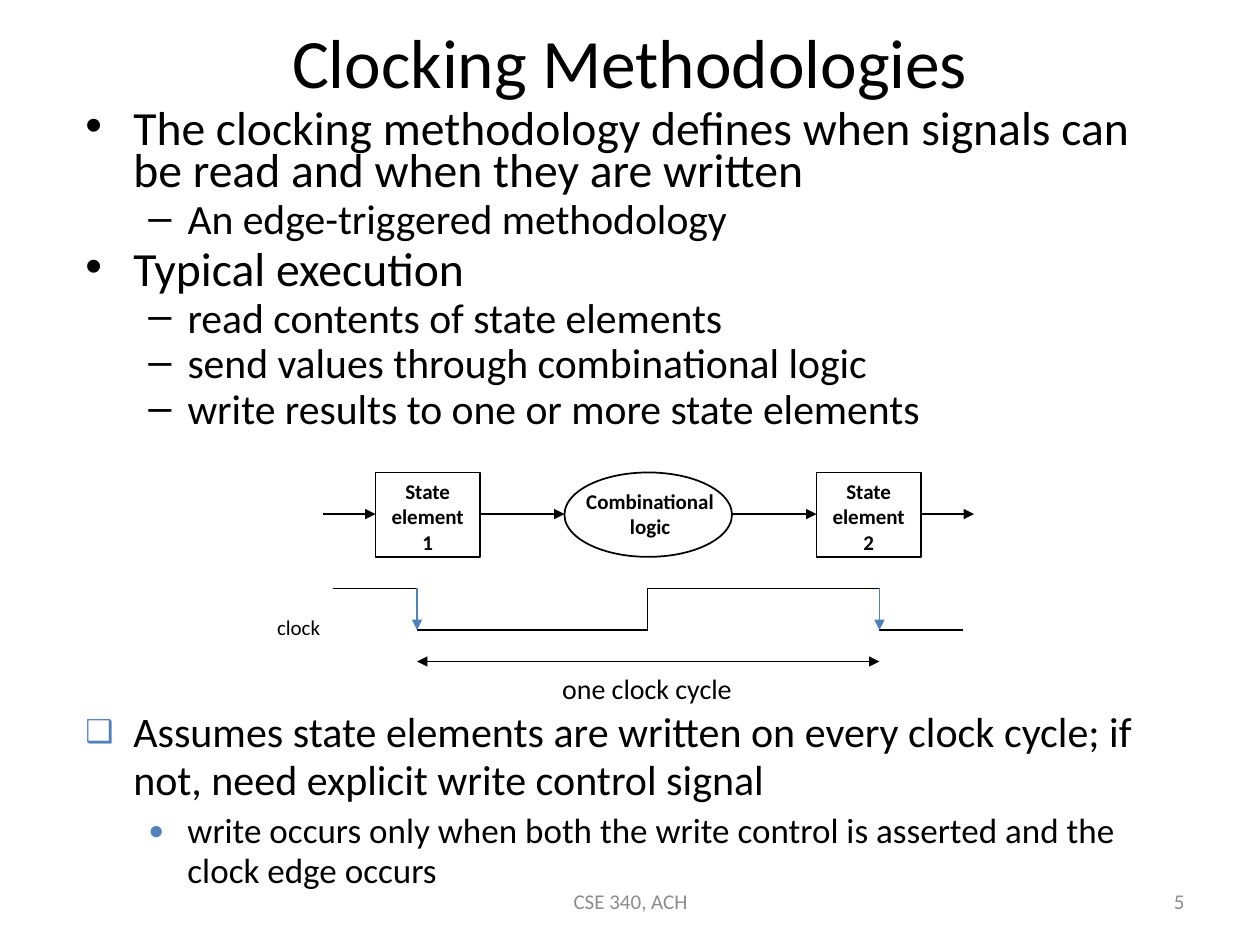
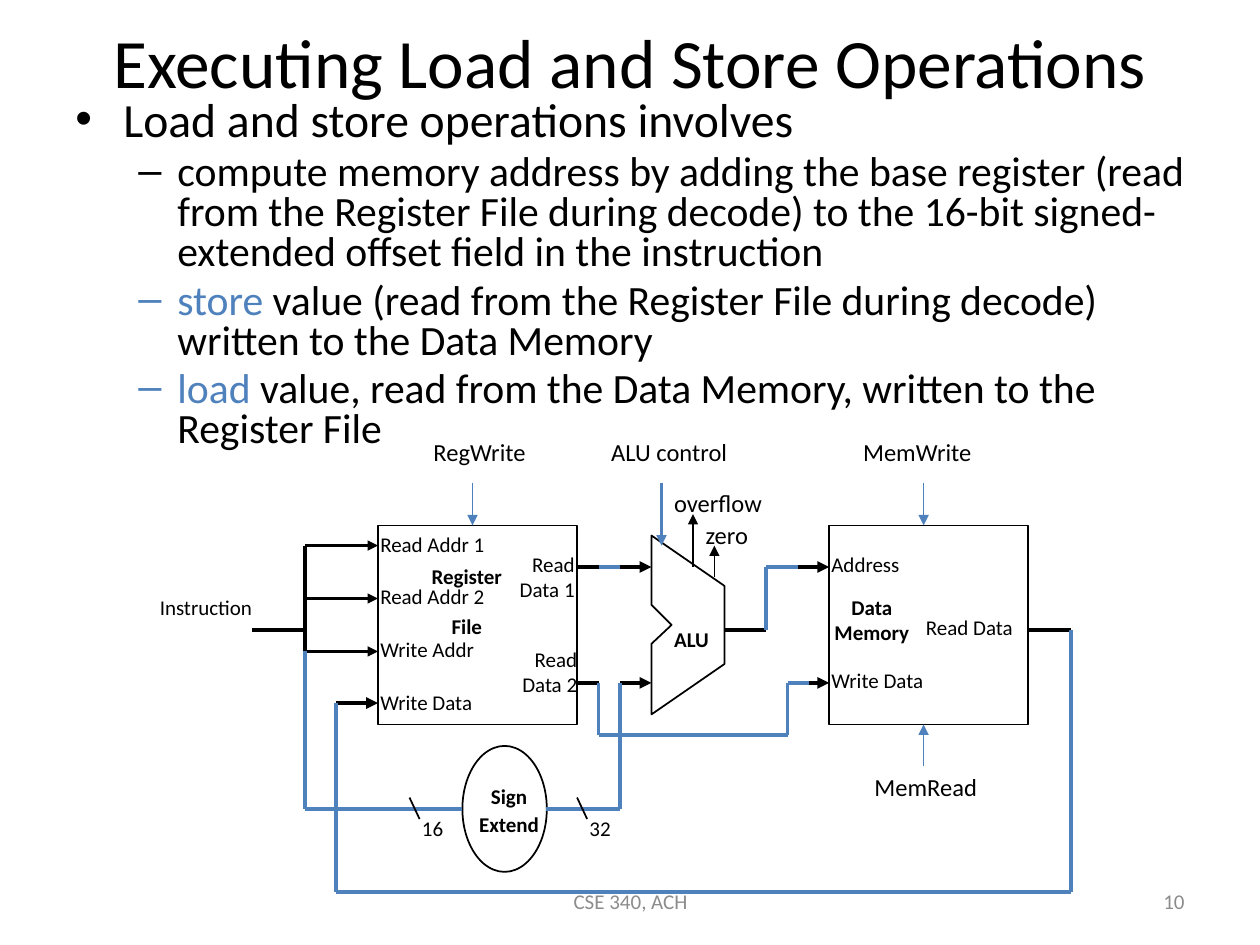
from dataclasses import dataclass, replace
from itertools import pairwise
from typing import NamedTuple

from pptx import Presentation
from pptx.dml.color import RGBColor
from pptx.enum.shapes import MSO_CONNECTOR, MSO_SHAPE
from pptx.enum.text import MSO_ANCHOR, MSO_AUTO_SIZE, PP_ALIGN
from pptx.oxml.ns import qn
from pptx.slide import Slide
from pptx.util import Inches, Pt
from lxml.etree import SubElement

BLACK = RGBColor(0x00, 0x00, 0x00)
BLUE = RGBColor(0x4F, 0x81, 0xBD)
GRAY = RGBColor(0x8C, 0x8C, 0x8C)
FONT = "Calibri"
FOOTER = "CSE 340, ACH"
INDENTS = ((0.38, -0.38), (0.81, -0.31))
THIN, MID, THICK = 1, 1.5, 2.25


class Box(NamedTuple):
    left: float
    top: float
    width: float
    height: float


class Span(NamedTuple):
    text: str
    color: RGBColor = BLACK


class Item(NamedTuple):
    level: int
    spans: tuple[Span, ...]


class Mark(NamedTuple):
    char: str
    color: RGBColor | None = None
    percent: int = 100


class Outline(NamedTuple):
    sizes: tuple[float, float]
    spacing: float
    marks: tuple[Mark, Mark]


@dataclass(frozen=True)
class Style:
    size: float = 12
    bold: bool = False
    color: RGBColor = BLACK
    align: PP_ALIGN = PP_ALIGN.LEFT
    anchor: MSO_ANCHOR = MSO_ANCHOR.TOP
    pad: tuple[float, float] = (0.1, 0.05)
    wrap: bool = False
    grow: bool = True
    line: float | None = None
    around: float = 0
    gap: float = 0


class Label(NamedTuple):
    lines: tuple[str, ...]
    box: Box
    style: Style


class Wire(NamedTuple):
    points: tuple[tuple[float, float], ...]
    color: RGBColor = BLACK
    width: float = THIN
    tail: bool = False
    head: bool = False


PLAIN = Style()
RIGHT = Style(align=PP_ALIGN.RIGHT)
CENTER = Style(align=PP_ALIGN.CENTER)
BOLD = replace(CENTER, bold=True)
SPREAD = replace(BOLD, gap=14.65)
CYCLE = replace(CENTER, size=16)
TIGHT = Style(bold=True, pad=(0.02, 0.03), grow=False, line=16)
SIGN = replace(TIGHT, align=PP_ALIGN.CENTER)
SIGNAL = replace(TIGHT, size=14, bold=False, line=18, around=6)
TITLE = replace(CENTER, size=39.6, anchor=MSO_ANCHOR.MIDDLE, wrap=True, grow=False)
FOOT = replace(TITLE, size=12, color=GRAY)
NUMBER = replace(FOOT, align=PP_ALIGN.RIGHT)

DASHES = (Mark("•"), Mark("–"))
DOTS = (Mark("❑", BLUE, 75), Mark("●", BLUE, 75))


def add_run(para, text: str, size: float, color: RGBColor, bold: bool = False) -> None:
    run = para.add_run()
    run.text = text
    font = run.font
    font.name, font.size, font.bold = FONT, Pt(size), bold
    font.color.rgb = color


def add_frame(slide: Slide, box: Box, pad: tuple[float, float] = (0.1, 0.05)):
    frame = slide.shapes.add_textbox(*map(Inches, box)).text_frame
    frame.margin_left = frame.margin_right = Inches(pad[0])
    frame.margin_top = frame.margin_bottom = Inches(pad[1])
    frame.word_wrap = True
    return frame


def next_para(frame, index: int):
    return frame.add_paragraph() if index else frame.paragraphs[0]


def add_label(slide: Slide, label: Label) -> None:
    style = label.style
    frame = add_frame(slide, label.box, style.pad)
    frame.word_wrap = style.wrap
    frame.vertical_anchor = style.anchor
    frame.auto_size = MSO_AUTO_SIZE.SHAPE_TO_FIT_TEXT if style.grow else MSO_AUTO_SIZE.NONE
    for index, text in enumerate(label.lines):
        para = next_para(frame, index)
        para.alignment = style.align
        if style.line:
            para.line_spacing = Pt(style.line)
        para.space_before = Pt(style.gap if index else style.around)
        para.space_after = Pt(style.around)
        add_run(para, text, style.size, style.color, style.bold)


def add_bullet(para, mark: Mark, level: int) -> None:
    props = para._p.get_or_add_pPr()
    left, hang = INDENTS[level]
    props.set("marL", str(Inches(left)))
    props.set("indent", str(Inches(hang)))
    if mark.color is not None:
        tint = SubElement(props, qn("a:buClr"))
        SubElement(tint, qn("a:srgbClr"), val=str(mark.color))
    SubElement(props, qn("a:buSzPct"), val=str(mark.percent * 1000))
    SubElement(props, qn("a:buFont"), typeface="Arial")
    SubElement(props, qn("a:buChar"), char=mark.char)


def add_outline(slide: Slide, box: Box, items: list[Item], outline: Outline) -> None:
    frame = add_frame(slide, box)
    for index, item in enumerate(items):
        size = outline.sizes[item.level]
        para = next_para(frame, index)
        para.level = item.level
        para.line_spacing = outline.spacing
        para.space_before = Pt(round(size * 0.2, 1))
        add_bullet(para, outline.marks[item.level], item.level)
        for span in item.spans:
            add_run(para, span.text, size, span.color)


def style_shape(shape) -> None:
    shape.shadow.inherit = False
    shape.fill.background()
    shape.line.color.rgb = BLACK
    shape.line.width = Pt(THIN)


def add_block(slide: Slide, kind: MSO_SHAPE, box: Box) -> None:
    style_shape(slide.shapes.add_shape(kind, *map(Inches, box)))


def add_polygon(slide: Slide, points: list[tuple[float, float]]) -> None:
    first, *rest = [(Inches(x), Inches(y)) for x, y in points]
    builder = slide.shapes.build_freeform(*first)
    builder.add_line_segments(rest, close=True)
    style_shape(builder.convert_to_shape())


def add_wire(slide: Slide, wire: Wire) -> None:
    """Draw each leg as a line, with arrowheads only at the outer ends."""
    legs = list(pairwise(wire.points))
    for index, (start, end) in enumerate(legs):
        leg = slide.shapes.add_connector(MSO_CONNECTOR.STRAIGHT, *map(Inches, start + end))
        leg.line.color.rgb = wire.color
        leg.line.width = Pt(wire.width)
        stroke = leg.line._get_or_add_ln()
        if wire.head and index == 0:
            SubElement(stroke, qn("a:headEnd"), type="triangle")
        if wire.tail and index == len(legs) - 1:
            SubElement(stroke, qn("a:tailEnd"), type="triangle")
        SubElement(leg._element.spPr, qn("a:effectLst"))


def add_page(deck, title: str, box: Box, number: int) -> Slide:
    slide = deck.slides.add_slide(deck.slide_layouts[6])
    add_label(slide, Label((title,), box, TITLE))
    add_label(slide, Label((str(number),), Box(7.17, 6.95, 2.33, 0.4), NUMBER))
    add_label(slide, Label((FOOTER,), Box(3.42, 6.95, 3.17, 0.4), FOOT))
    return slide


def plain_item(level: int, text: str) -> Item:
    return Item(level, (Span(text),))


def build_clock(deck) -> None:
    slide = add_page(deck, "Clocking Methodologies", Box(0.5, 0.13, 9, 0.7), 5)
    add_outline(slide, Box(0.58, 0.83, 8.75, 2.92), [
        plain_item(0, "The clocking methodology defines when signals can be read and when they are written"),
        plain_item(1, "An edge-triggered methodology"),
        plain_item(0, "Typical execution"),
        plain_item(1, "read contents of state elements"),
        plain_item(1, "send values through combinational logic"),
        plain_item(1, "write results to one or more state elements"),
    ], Outline((27.2, 23.8), 0.75, DASHES))
    add_outline(slide, Box(0.58, 5.58, 9, 1.67), [
        plain_item(0, "Assumes state elements are written on every clock cycle; "
                      "if not, need explicit write control signal"),
        plain_item(1, "write occurs only when both the write control is asserted and the clock edge occurs"),
    ], Outline((24, 20), 0.95, DOTS))

    for number, left in (("1", 2.98), ("2", 6.48)):
        add_block(slide, MSO_SHAPE.RECTANGLE, Box(left, 3.75, 0.83, 0.67))
        add_label(slide, Label(("State", "element", number), Box(left, 3.75, 0.83, 0.7), BOLD))
    add_block(slide, MSO_SHAPE.OVAL, Box(4.48, 3.75, 1.33, 0.67))
    add_label(slide, Label(("Combinational", "logic"), Box(4.48, 3.83, 1.36, 0.5), BOLD))
    add_label(slide, Label(("clock",), Box(2.08, 4.83, 0.58, 0.3), CENTER))
    add_label(slide, Label(("one clock cycle",), Box(4.28, 5.28, 1.71, 0.37), CYCLE))

    for start, end in ((2.56, 2.98), (3.81, 4.48), (5.81, 6.48), (7.31, 7.73)):
        add_wire(slide, Wire(((start, 4.08), (end, 4.08)), tail=True))
    high, low, fall, rise, last = 4.67, 5, 3.31, 5.14, 6.98
    add_wire(slide, Wire(((2.64, high), (fall, high))))
    add_wire(slide, Wire(((fall, low), (rise, low), (rise, high), (last, high))))
    add_wire(slide, Wire(((last, low), (7.64, low))))
    for edge in (fall, last):
        add_wire(slide, Wire(((edge, high), (edge, low)), BLUE, tail=True))
    add_wire(slide, Wire(((fall, 5.25), (last, 5.25)), tail=True, head=True))


def build_path(deck) -> None:
    slide = add_page(deck, "Executing Load and Store Operations", Box(0.5, 0.17, 9, 0.62), 10)
    add_outline(slide, Box(0.5, 0.75, 9.08, 2.99), [
        plain_item(0, "Load and store operations involves"),
        plain_item(1, "compute memory address by adding the base register (read from the Register File "
                      "during decode) to the 16-bit signed-extended offset field in the instruction"),
        Item(1, (Span("store", BLUE),
                 Span(" value (read from the Register File during decode) written to the Data Memory"))),
        Item(1, (Span("load ", BLUE),
                 Span("value, read from the Data Memory, written to the Register File"))),
    ], Outline((27.2, 23.8), 0.8, DASHES))

    for left in (3, 6.58):
        add_block(slide, MSO_SHAPE.RECTANGLE, Box(left, 4.17, 1.58, 1.58))
    add_block(slide, MSO_SHAPE.OVAL, Box(3.67, 5.92, 0.67, 1))
    add_polygon(slide, [(5.17, 4.25), (5.17, 4.8), (5.33, 4.96), (5.17, 5.11),
                        (5.17, 5.67), (5.75, 5.27), (5.75, 4.65)])

    for text, left, top, width in (
        ("Instruction", 1.17, 4.67, 0.97), ("Read Addr 1", 2.92, 4.17, 1.13),
        ("Read Addr 2", 2.92, 4.58, 1.13), ("Write Addr", 2.92, 5, 0.99),
        ("Write Data", 2.92, 5.42, 0.99), ("Address", 6.5, 4.33, 0.81),
        ("Write Data", 6.5, 5.25, 0.99), ("Read Data", 7.25, 4.83, 0.99),
        ("16", 3.25, 6.42, 0.39), ("32", 4.58, 6.42, 0.39),
    ):
        add_label(slide, Label((text,), Box(left, top, width, 0.3), PLAIN))
    for text, left, top, width in (
        ("RegWrite", 3.42, 3.42, 1.01), ("ALU control", 4.83, 3.42, 1.01),
        ("MemWrite", 6.83, 3.42, 1.01), ("MemRead", 6.92, 6.08, 1.01),
        ("overflow", 5.33, 3.83, 1.17), ("zero", 5.58, 4.08, 0.58),
    ):
        add_label(slide, Label((text,), Box(left, top, width, 0.36), SIGNAL))
    for label in (
        Label(("Register", "File"), Box(3.27, 4.42, 0.87, 0.7), SPREAD),
        Label(("Read", "Data 1"), Box(3.92, 4.33, 0.74, 0.5), RIGHT),
        Label(("Read", "Data 2"), Box(3.94, 5.08, 0.74, 0.5), RIGHT),
        Label(("Data", "Memory"), Box(6.5, 4.67, 0.84, 0.5), BOLD),
        Label(("ALU",), Box(5.33, 4.92, 0.55, 0.36), TIGHT),
        Label(("Sign", "Extend"), Box(3.75, 6.17, 0.58, 0.5), SIGN),
    ):
        add_label(slide, label)

    for top in (4.33, 4.75, 5.17):
        add_wire(slide, Wire(((2.42, top), (3, top)), width=MID, tail=True))
    for x, start, end, color, width in (
        (3.75, 3.83, 4.17, BLUE, THIN), (5.25, 3.83, 4.33, BLUE, MID),
        (7.33, 3.83, 4.17, BLUE, THIN), (7.33, 6.08, 5.75, BLUE, THIN),
        (5.5, 4.5, 4.08, BLACK, THIN), (5.67, 4.58, 4.33, BLACK, THIN),
    ):
        add_wire(slide, Wire(((x, start), (x, end)), color, width, tail=True))
    for start, end, y in ((2, 2.42, 5), (5.75, 6.08, 5), (8.17, 8.5, 5), (4.58, 4.75, 4.5),
                          (4.58, 4.75, 5.42), (3.33, 3.67, 6.42), (4.33, 4.67, 6.42)):
        add_wire(slide, Wire(((start, y), (end, y)), width=THICK))
    add_wire(slide, Wire(((2.42, 4.33), (2.42, 5.17)), width=THICK))
    for start, end, y in ((2.67, 3, 5.58), (4.92, 5.17, 4.5), (4.92, 5.17, 5.42),
                          (6.33, 6.58, 4.5), (6.33, 6.58, 5.42)):
        add_wire(slide, Wire(((start, y), (end, y)), width=THICK, tail=True))
    for points in (
        ((4.75, 4.5), (4.92, 4.5)),
        ((6.08, 5), (6.08, 4.5), (6.33, 4.5)),
        ((4.75, 5.42), (4.75, 5.83), (6.25, 5.83), (6.25, 5.42), (6.42, 5.42)),
        ((8.5, 5), (8.5, 7.08), (2.67, 7.08), (2.67, 5.58)),
        ((2.42, 5.17), (2.42, 6.42), (3.67, 6.42)),
        ((4.33, 6.42), (4.92, 6.42), (4.92, 5.42)),
    ):
        add_wire(slide, Wire(points, BLUE, THICK))
    for left in (3.25, 4.58):
        add_wire(slide, Wire(((left, 6.33), (left + 0.08, 6.5))))


def main() -> None:
    deck = Presentation()
    deck.slide_width, deck.slide_height = Inches(10), Inches(7.5)
    build_clock(deck)
    build_path(deck)
    deck.save("out.pptx")


if __name__ == "__main__":
    main()
